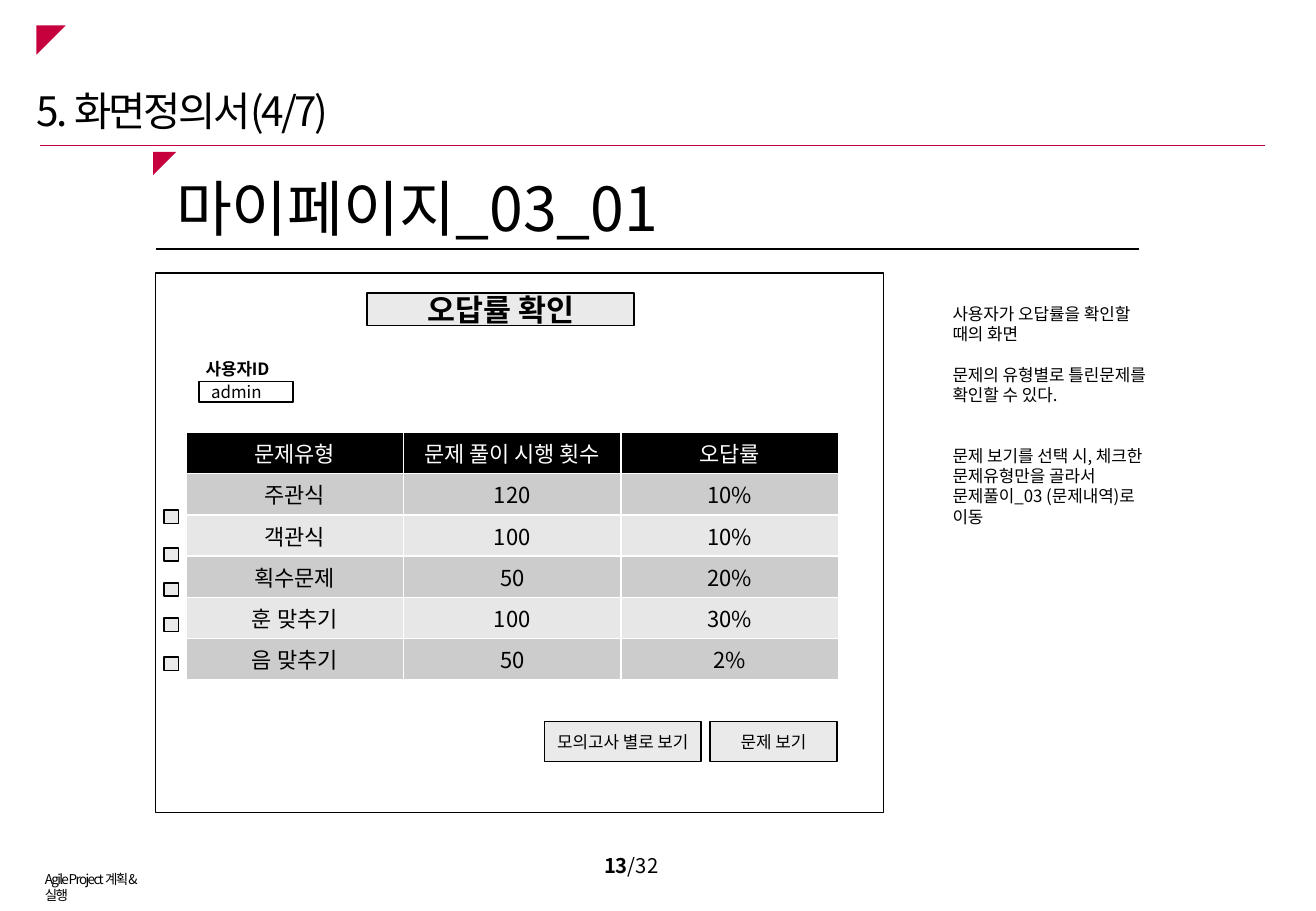
"""Build the wrong-answer rate screen definition slide."""
import pptx
import pptx.util
import pptx.dml.color
import pptx.enum.shapes
import pptx.enum.text
import pptx.oxml.ns
from lxml import etree

Inches, Pt = pptx.util.Inches, pptx.util.Pt
SHAPE = pptx.enum.shapes.MSO_SHAPE
ALIGN = pptx.enum.text.PP_ALIGN
ANCHOR = pptx.enum.text.MSO_ANCHOR
qn = pptx.oxml.ns.qn

FONT = "Noto Sans CJK KR"
RED, BLACK, WHITE, GREY = "C5003D", "000000", "FFFFFF", "EAEAEA"
HEAD = "5. 화면정의서(4/7)"
FLAGS = [(0.3, 0.21, 0.24), (1.26, 1.25, 0.19)]
RULES = [(0.33, 10.41, 1.2, RED), (1.28, 9.37, 2.05, BLACK)]
ROWS = [
    ("문제유형", "문제 풀이 시행 횟수", "오답률"),
    ("주관식", "120", "10%"),
    ("객관식", "100", "10%"),
    ("획수문제", "50", "20%"),
    ("훈 맞추기", "100", "30%"),
    ("음 맞추기", "50", "2%"),
]
NOTES = [
    ("사용자가 오답률을 확인할 때의 화면", 0),
    ("문제의 유형별로 틀린문제를 확인할 수 있다.", 12),
    ("문제 보기를 선택 시, 체크한 문제유형만을 골라서 "
     "문제풀이_03 (문제내역)로 이동", 24),
]
LABELS = [
    ((0.27, 7.12, 1.12, 0.4), [("Agile Project 계획&실행", False)], 8, ALIGN.LEFT, -100),
    ((4.58, 6.98, 1.23, 0.37), [("13", True), ("/32", False)], 12, ALIGN.CENTER, 0),
    ((1.35, 1.36, 7.41, 0.71), [("마이페이지_03_01", False)], 36, ALIGN.LEFT, 0),
    ((1.45, 2.9, 1.01, 0.27), [("사용자ID", True)], 10, ALIGN.CENTER, 0),
]
FRAME = (1.28, 2.25, 5.99, 4.44)
BOXES = [
    ((3.02, 2.41, 2.2, 0.27), "오답률 확인", 18, True, GREY, ALIGN.CENTER),
    ((1.64, 3.14, 0.77, 0.17), "admin", 10, False, WHITE, ALIGN.LEFT),
    ((4.48, 5.94, 1.29, 0.33), "모의고사 별로 보기", 10, False, GREY, ALIGN.CENTER),
    ((5.84, 5.94, 1.05, 0.33), "문제 보기", 10, False, GREY, ALIGN.CENTER),
]
CHECKS = [4.2, 4.51, 4.8, 5.09, 5.41]


def color(code):
    return pptx.dml.color.RGBColor.from_string(code)


def place(area):
    return [Inches(v) for v in area]


def add_run(para, text, size, bold=False, ink=BLACK, gap=0):
    run = para.add_run()
    run.text = text
    font = run.font
    font.size, font.bold, font.name = Pt(size), bold, FONT
    font.color.rgb = color(ink)
    props = run._r.get_or_add_rPr()
    etree.SubElement(props, qn("a:ea")).set("typeface", FONT)
    if gap:
        props.set("spc", str(gap))


def add_box(slide, kind, area, fill=None, line=None):
    box = slide.shapes.add_shape(kind, *place(area))
    box.shadow.inherit = False
    if fill:
        box.fill.solid()
        box.fill.fore_color.rgb = color(fill)
    else:
        box.fill.background()
    if line:
        box.line.color.rgb = color(line)
        box.line.width = Pt(1)
    else:
        box.line.fill.background()
    return box


def add_rule(slide, left, right, top, ink):
    kind = pptx.enum.shapes.MSO_CONNECTOR.STRAIGHT
    rule = slide.shapes.add_connector(kind, *place((left, top, right, top)))
    rule.line.color.rgb = color(ink)
    rule.line.width = Pt(0.75)
    etree.SubElement(rule._element.spPr, qn("a:effectLst"))


def add_label(slide, area):
    frame = slide.shapes.add_textbox(*place(area)).text_frame
    frame.word_wrap = True
    return frame


def add_edge(cell, side, width):
    props = cell._tc.get_or_add_tcPr()
    edge = etree.Element(qn("a:" + side), w=str(Pt(width)))
    fill = etree.SubElement(edge, qn("a:solidFill"))
    etree.SubElement(fill, qn("a:srgbClr")).set("val", WHITE)
    return props, edge


def add_grid(slide):
    area = place((1.53, 3.56, 5.37, 1.74))
    table = slide.shapes.add_table(len(ROWS), len(ROWS[0]), *area).table
    for col in table.columns:
        col.width = Inches(1.79)
    for i, row in enumerate(ROWS):
        table.rows[i].height = Inches(0.29)
        fill = BLACK if i == 0 else ("E7E7E7", "CCCCCC")[i % 2]
        for j, text in enumerate(row):
            cell = table.cell(i, j)
            cell.margin_left = cell.margin_right = Inches(0.08)
            cell.margin_top = cell.margin_bottom = Inches(0.04)
            cell.fill.solid()
            cell.fill.fore_color.rgb = color(fill)
            for k, side in enumerate(("lnL", "lnR", "lnT", "lnB")):
                props, edge = add_edge(cell, side, 1)
                props.insert(k, edge)
            para = cell.text_frame.paragraphs[0]
            para.alignment = ALIGN.CENTER
            add_run(para, text, 13, ink=WHITE if i == 0 else BLACK)


def main():
    deck = pptx.Presentation()
    deck.slide_width, deck.slide_height = Inches(10.83), Inches(7.5)
    slide = deck.slides.add_slide(deck.slide_layouts[5])

    title = slide.shapes.title
    title.left, title.top, title.width, title.height = place((0.2, 0.66, 5.05, 0.5))
    frame = title.text_frame
    frame.auto_size = pptx.enum.text.MSO_AUTO_SIZE.NONE
    frame.vertical_anchor = ANCHOR.TOP
    frame.paragraphs[0].alignment = ALIGN.LEFT
    add_run(frame.paragraphs[0], HEAD, 24, gap=-150)

    for rule in RULES:
        add_rule(slide, *rule)
    for left, top, side in FLAGS:
        flag = add_box(slide, SHAPE.ISOSCELES_TRIANGLE, (left, top, side, side), RED)
        flag.adjustments[0] = 1
        flag.rotation = 180

    add_grid(slide)
    add_box(slide, SHAPE.RECTANGLE, FRAME, line=BLACK)

    for area, text, size, bold, fill, align in BOXES:
        box = add_box(slide, SHAPE.RECTANGLE, area, fill, BLACK)
        frame = box.text_frame
        frame.vertical_anchor = ANCHOR.MIDDLE
        frame.margin_top = frame.margin_bottom = frame.margin_right = 0
        frame.margin_left = Inches(0.1 if align == ALIGN.LEFT else 0)
        frame.paragraphs[0].alignment = align
        add_run(frame.paragraphs[0], text, size, bold)
    for top in CHECKS:
        add_box(slide, SHAPE.RECTANGLE, (1.35, top, 0.12, 0.11), GREY, BLACK)

    for area, runs, size, align, gap in LABELS:
        para = add_label(slide, area).paragraphs[0]
        para.alignment = align
        for text, bold in runs:
            add_run(para, text, size, bold, gap=gap)

    frame = add_label(slide, (7.74, 2.45, 1.82, 1.78))
    for i, (text, space) in enumerate(NOTES):
        para = frame.add_paragraph() if i else frame.paragraphs[0]
        para.space_before = Pt(space)
        add_run(para, text, 10)

    deck.save("out.pptx")


if __name__ == "__main__":
    main()
